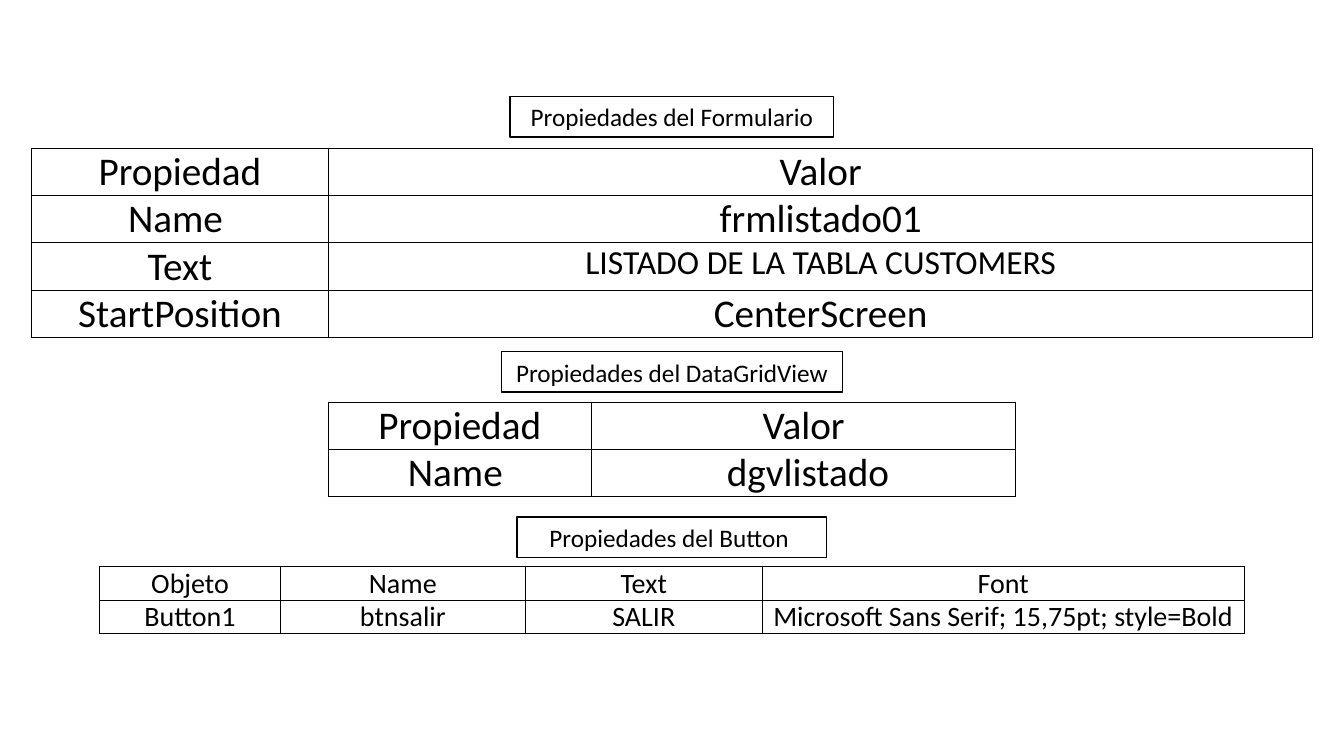
import dataclasses

import lxml.etree
import pptx
import pptx.dml.color
import pptx.enum.shapes
import pptx.enum.text
import pptx.oxml.ns
import pptx.util

Inches = pptx.util.Inches
Pt = pptx.util.Pt
PAGE_WIDTH, PAGE_HEIGHT = 13.33, 7.5


@dataclasses.dataclass(frozen=True)
class Theme:
    font: str = "Calibri"
    ink: str = "000000"
    paper: str = "FFFFFF"
    line_width: int = 1
    caption_size: int = 18
    table_size: int = 28
    long_value_size: int = 24
    compact_size: int = 20


@dataclasses.dataclass(frozen=True)
class Section:
    caption: str
    caption_top: float
    caption_width: float
    table_top: float
    row_height: float
    columns: tuple[float, ...]
    rows: tuple[tuple[str, ...], ...]
    size: int
    anchor: pptx.enum.text.MSO_ANCHOR = pptx.enum.text.MSO_ANCHOR.TOP


THEME = Theme()
LONG_VALUE = "LISTADO DE LA TABLA CUSTOMERS"
SECTIONS = (
    Section(
        "Propiedades del Formulario", 0.96, 3.21, 1.47, 0.47, (2.95, 9.76),
        (
            ("Propiedad", "Valor"),
            ("Name ", "frmlistado01"),
            ("Text", LONG_VALUE),
            ("StartPosition", "CenterScreen"),
        ),
        THEME.table_size,
    ),
    Section(
        "Propiedades del DataGridView", 3.49, 3.38, 3.99, 0.47, (2.61, 4.21),
        (("Propiedad", "Valor"), ("Name ", " dgvlistado")),
        THEME.table_size,
    ),
    Section(
        "Propiedades del Button ", 5.13, 3.07, 5.62, 0.33, (1.79, 2.43, 2.35, 4.78),
        (
            ("Objeto", "Name", "Text", "Font"),
            ("Button1", "btnsalir", "SALIR", "Microsoft Sans Serif; 15,75pt; style=Bold"),
        ),
        THEME.compact_size,
        pptx.enum.text.MSO_ANCHOR.MIDDLE,
    ),
)


def color(value: str) -> pptx.dml.color.RGBColor:
    return pptx.dml.color.RGBColor.from_string(value)


def centered_left(width: float) -> float:
    return (PAGE_WIDTH - width) / 2


def write_text(frame, text: str, size: int) -> None:
    para = frame.paragraphs[0]
    para.text = text
    para.alignment = pptx.enum.text.PP_ALIGN.CENTER
    span = para.runs[0]
    span.font.name = THEME.font
    span.font.size = Pt(size)
    span.font.color.rgb = color(THEME.ink)


def add_caption(page, section: Section) -> None:
    box = page.shapes.add_shape(
        pptx.enum.shapes.MSO_SHAPE.RECTANGLE,
        Inches(centered_left(section.caption_width)), Inches(section.caption_top),
        Inches(section.caption_width), Inches(0.4),
    )
    box.shadow.inherit = False
    box.fill.solid()
    box.fill.fore_color.rgb = color(THEME.paper)
    box.line.color.rgb = color(THEME.ink)
    box.line.width = Pt(THEME.line_width)
    box.text_frame.word_wrap = True
    box.text_frame.auto_size = pptx.enum.text.MSO_AUTO_SIZE.SHAPE_TO_FIT_TEXT
    write_text(box.text_frame, section.caption, THEME.caption_size)


def set_borders(cell) -> None:
    """Draw all four cell edges; the schema wants them ahead of the fill."""
    qn = pptx.oxml.ns.qn
    properties = cell._tc.get_or_add_tcPr()
    for position, edge in enumerate(("a:lnL", "a:lnR", "a:lnT", "a:lnB")):
        line = lxml.etree.Element(qn(edge), w=str(Pt(THEME.line_width)))
        fill = lxml.etree.SubElement(line, qn("a:solidFill"))
        lxml.etree.SubElement(fill, qn("a:srgbClr"), val=THEME.ink)
        properties.insert(position, line)


def add_property_table(page, section: Section) -> None:
    width = sum(section.columns)
    table = page.shapes.add_table(
        len(section.rows), len(section.columns),
        Inches(centered_left(width)), Inches(section.table_top),
        Inches(width), Inches(section.row_height * len(section.rows)),
    ).table
    table.first_row = False
    table.horz_banding = False
    for column, column_width in zip(table.columns, section.columns):
        column.width = Inches(column_width)
    for row, values in zip(table.rows, section.rows):
        row.height = Inches(section.row_height)
        for cell, value in zip(row.cells, values):
            cell.fill.background()
            cell.margin_left = cell.margin_right = Inches(0.07)
            cell.margin_top = cell.margin_bottom = 0
            cell.vertical_anchor = section.anchor
            size = THEME.long_value_size if value == LONG_VALUE else section.size
            write_text(cell.text_frame, value, size)
            set_borders(cell)


def main() -> None:
    deck = pptx.Presentation()
    deck.slide_width = Inches(PAGE_WIDTH)
    deck.slide_height = Inches(PAGE_HEIGHT)
    page = deck.slides.add_slide(deck.slide_layouts[6])
    for section in SECTIONS:
        add_caption(page, section)
        add_property_table(page, section)
    deck.save("out.pptx")


if __name__ == "__main__":
    main()
